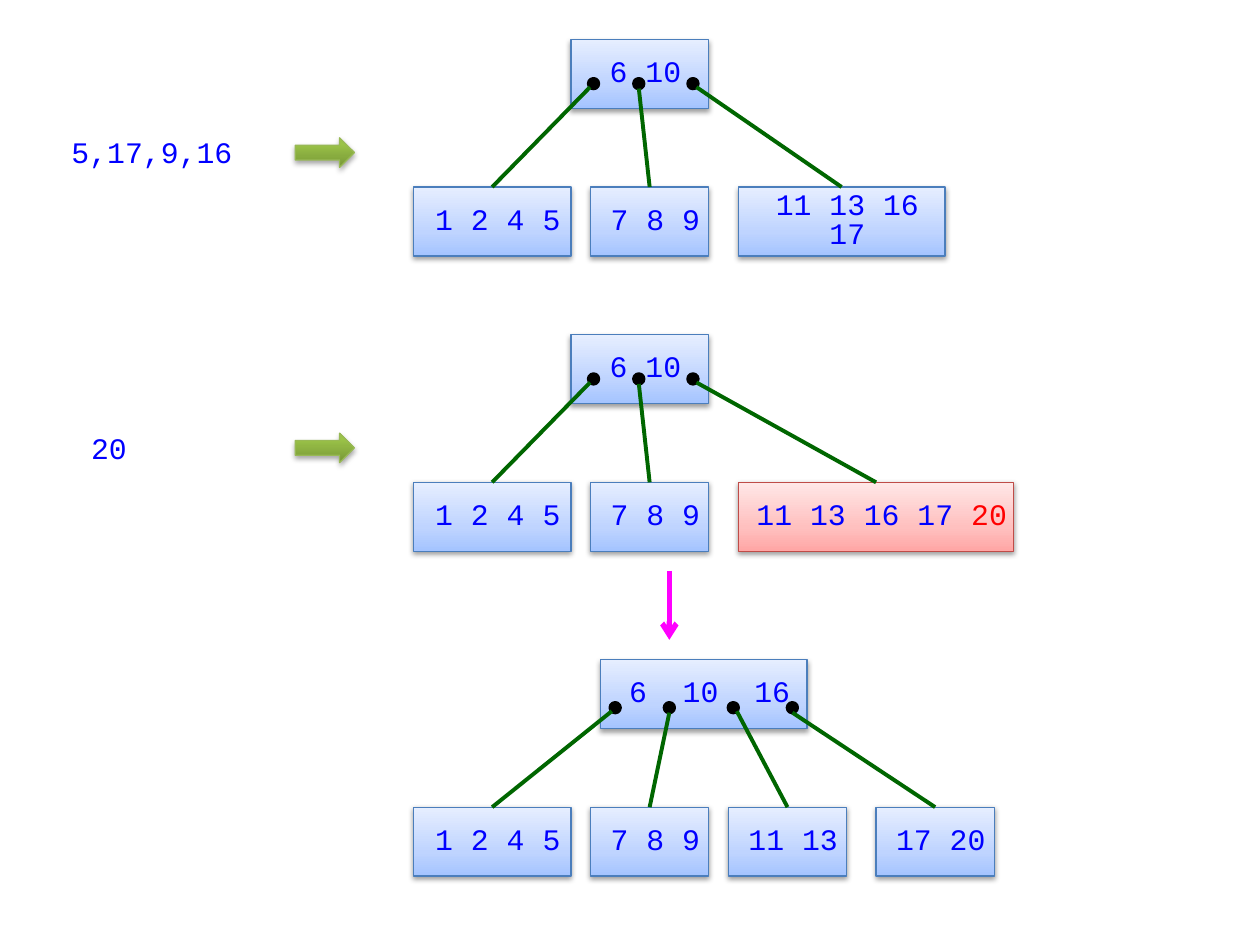
from dataclasses import dataclass
from math import sqrt

from lxml import etree
from pptx import Presentation
from pptx.dml.color import RGBColor
from pptx.enum.shapes import MSO_CONNECTOR, MSO_SHAPE
from pptx.enum.text import MSO_ANCHOR, PP_ALIGN
from pptx.oxml import parse_xml
from pptx.oxml.ns import nsdecls, qn
from pptx.util import Inches, Pt

RECTANGLE, OVAL, RIGHT_ARROW = MSO_SHAPE.RECTANGLE, MSO_SHAPE.OVAL, MSO_SHAPE.RIGHT_ARROW
STRAIGHT = MSO_CONNECTOR.STRAIGHT
MIDDLE, CENTER = MSO_ANCHOR.MIDDLE, PP_ALIGN.CENTER

WIDTH, HEIGHT = Inches(10), Inches(7.5)
UNIT = WIDTH / 128  # the grid has 128 columns and 96 rows
NODE_HEIGHT = 7
LEAF_DROP = 15  # rows from the top of a root to the top of its leaves
FONT, SIZE = "Courier New", 17

COLORS = {
    "key": "0000FF", "new_key": "FF0000", "link": "006600", "dot": "000000",
    "split": "FF00FF", "node_line": "4B7EBC", "overflow_line": "BF4C48",
    "insert_line": "98B955",
}
GRADIENTS = {
    "node": ((0, "A4C4FF"), (35, "BFD4FF"), (100, "E6EEFF")),
    "overflow": ((0, "FFA6A5"), (35, "FFC0BF"), (100, "FFE7E7")),
    "insert": ((0, "779737"), (80, "9BC348"), (100, "9DC746")),
}


@dataclass(frozen=True)
class Run:
    text: str
    color: str = "key"
    spacing: float = 0


@dataclass(frozen=True)
class Node:
    column: float
    width: float
    runs: tuple[Run, ...]
    style: str = "node"


@dataclass(frozen=True)
class Pointer:
    """A dot in the root; side is where its link leaves: -1 left, 0 below, 1 right."""
    column: float
    side: int


@dataclass(frozen=True)
class Tree:
    row: float
    root: Node
    pointer_drop: float
    pointers: tuple[Pointer, ...]
    leaves: tuple[Node, ...]


@dataclass(frozen=True)
class Insertion:
    keys: str
    column: float
    row: float
    width: float


def node(column: float, width: float, text: str) -> Node:
    return Node(column, width, (Run(text),))


WIDE_GAP = Run(" ", spacing=0.6 * SIZE)
LEFT_LEAVES = (node(42, 16, "1 2 4 5"), node(60, 12, "7 8 9"))
SMALL_ROOT = node(58, 14, "6 10")
LARGE_ROOT = Node(61, 21, (Run("6"), WIDE_GAP, Run("10"), WIDE_GAP, Run("16")))
OVERFLOW = Node(75, 28, (Run("11 13 16 17 "), Run("20", "new_key")), "overflow")
THREE_POINTERS = (Pointer(60.3, -1), Pointer(64.9, 0), Pointer(70.4, 1))
FOUR_POINTERS = (Pointer(62.5, -1), Pointer(68, 0), Pointer(74.5, 1), Pointer(80.5, 0))

TREES = (
    Tree(4, SMALL_ROOT, 4.5, THREE_POINTERS, LEFT_LEAVES + (node(75, 21, "11 13 16 17"),)),
    Tree(34, SMALL_ROOT, 4.5, THREE_POINTERS, LEFT_LEAVES + (OVERFLOW,)),
    Tree(67, LARGE_ROOT, 4.9, FOUR_POINTERS,
         LEFT_LEAVES + (node(74, 12, "11 13"), node(89, 12, "17 20"))),
)
INSERTIONS = (Insertion("5,17,9,16", 6, 13, 26), Insertion("20", 8, 43, 9))


def grid(*values: float) -> list[int]:
    return [round(value * UNIT) for value in values]


def rgb(name: str) -> RGBColor:
    return RGBColor.from_string(COLORS[name])


def set_text(shape, runs: tuple[Run, ...], *, align=None, line_spacing=None,
             anchor=None, margins=None) -> None:
    frame = shape.text_frame
    frame.word_wrap = True
    if anchor is not None:
        frame.vertical_anchor = anchor
    if margins is not None:
        (frame.margin_left, frame.margin_top,
         frame.margin_right, frame.margin_bottom) = map(Inches, margins)
    paragraph = frame.paragraphs[0]
    paragraph.alignment = align
    paragraph.line_spacing = line_spacing
    for item in runs:
        run = paragraph.add_run()
        run.text = item.text
        run.font.name, run.font.size = FONT, Pt(SIZE)
        run.font.color.rgb = rgb(item.color)
        if item.spacing:
            run.font._element.set("spc", str(round(item.spacing * 100)))


def add_raised_shape(slide, kind, place: list[int], style: str, line: str,
                     opacity: int, distance: float):
    """Add a shape with a vertical gradient and a soft shadow below it."""
    shape = slide.shapes.add_shape(kind, *place)
    shape.line.color.rgb = rgb(line)
    shape.line.width = Pt(0.75)
    shape.fill.gradient()
    gradient = shape._element.spPr.find(qn("a:gradFill"))
    stops = "".join(
        f'<a:gs pos="{position * 1000}"><a:srgbClr val="{color}"/></a:gs>'
        for position, color in GRADIENTS[style])
    gradient.getparent().replace(gradient, parse_xml(
        f'<a:gradFill {nsdecls("a")} rotWithShape="1"><a:gsLst>{stops}</a:gsLst>'
        '<a:lin ang="16200000" scaled="0"/></a:gradFill>'))
    shape._element.spPr.append(parse_xml(
        f'<a:effectLst {nsdecls("a")}><a:outerShdw blurRad="{Pt(3.1)}" '
        f'dist="{Pt(distance)}" dir="5400000" rotWithShape="0"><a:srgbClr val="000000">'
        f'<a:alpha val="{opacity * 1000}"/></a:srgbClr></a:outerShdw></a:effectLst>'))
    return shape


def add_node(slide, item: Node, row: float):
    place = grid(item.column, row, item.width, NODE_HEIGHT)
    shape = add_raised_shape(slide, RECTANGLE, place, item.style,
                             f"{item.style}_line", 38, 1.6)
    set_text(shape, item.runs, align=CENTER, line_spacing=0.8, anchor=MIDDLE,
             margins=(0.09, 0, 0, 0))
    return shape


def add_line(slide, start: tuple[float, float], end: tuple[float, float],
             color: str, width: float):
    line = slide.shapes.add_connector(STRAIGHT, *grid(*start, *end))
    line.line.color.rgb = rgb(color)
    line.line.width = Pt(width)
    etree.SubElement(line._element.spPr, qn("a:effectLst"))
    return line


def add_pointer(slide, pointer: Pointer, row: float, leaf) -> None:
    dot = slide.shapes.add_shape(OVAL, *grid(pointer.column - 0.5, row - 0.5, 1, 1))
    dot.shadow.inherit = False
    dot.fill.solid()
    dot.fill.fore_color.rgb = rgb("dot")
    dot.line.color.rgb = rgb("dot")
    dot.line.width = Pt(2)
    reach = 0.5 / sqrt(1 + abs(pointer.side))
    start = (pointer.column + pointer.side * reach, row + reach)
    link = add_line(slide, start, start, "link", 2.25)
    link.end_connect(leaf, 0)


def add_tree(slide, tree: Tree) -> None:
    add_node(slide, tree.root, tree.row)
    for pointer, item in zip(tree.pointers, tree.leaves):
        leaf = add_node(slide, item, tree.row + LEAF_DROP)
        add_pointer(slide, pointer, tree.row + tree.pointer_drop, leaf)


def add_insertion(slide, item: Insertion) -> None:
    label = slide.shapes.add_textbox(*grid(item.column, item.row, item.width, 5))
    set_text(label, (Run(item.keys),))
    add_raised_shape(slide, RIGHT_ARROW, grid(30, item.row + 1, 6, 3),
                     "insert", "insert_line", 35, 1.8)


def main() -> None:
    presentation = Presentation()
    presentation.slide_width, presentation.slide_height = WIDTH, HEIGHT
    slide = presentation.slides.add_slide(presentation.slide_layouts[6])
    for insertion in INSERTIONS:
        add_insertion(slide, insertion)
    for tree in TREES:
        add_tree(slide, tree)
    split = add_line(slide, (68, 58), (68, 65), "split", 3)
    etree.SubElement(split.line._get_or_add_ln(), qn("a:tailEnd"), type="arrow")
    presentation.save("out.pptx")


if __name__ == "__main__":
    main()
